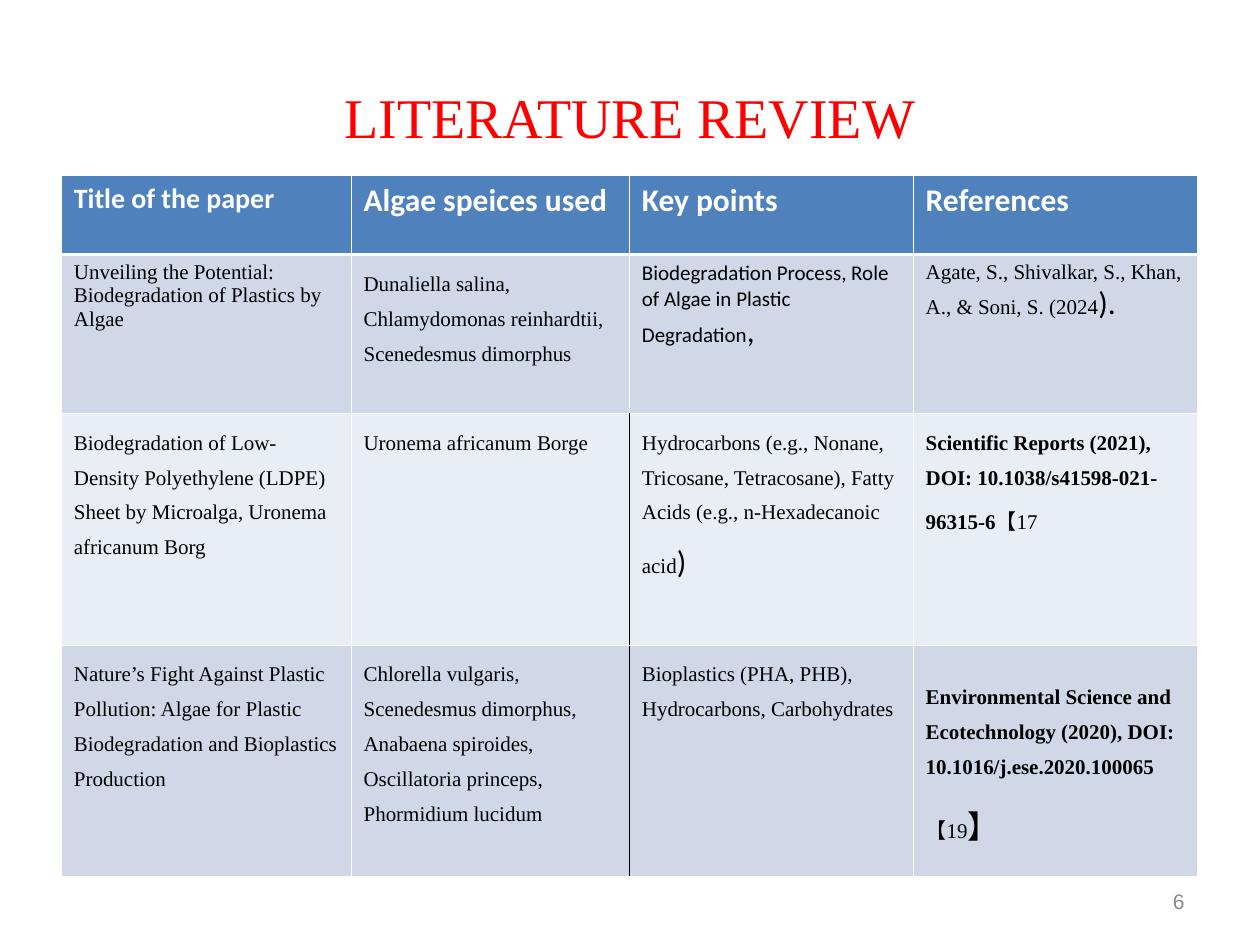
from lxml import etree
from pptx import Presentation
from pptx import util as u
from pptx.dml.color import RGBColor
from pptx.enum import text
from pptx.oxml import ns

SERIF, SANS = "Times New Roman", "Calibri"
WHITE, BLACK = "FFFFFF", "000000"
COLS = [5.84, 5.61, 5.72, 5.72]
ROWS = [1.6, 3.2, 4.67, 4.67]
FILLS = ["4F81BD", "D0D8E8", "E9EDF4", "D0D8E8"]

# Each cell is (line spacing, runs); each run is (text, size, font, bold).
HEADER = [("Title of the paper", 16), ("Algae speices used", 18),
          ("Key points", 18), ("References", 18)]
PAPERS = [
    [(None, [("Unveiling the Potential: Biodegradation of Plastics by Algae", 12, SERIF, False)]),
     (1.5, [("Dunaliella salina, Chlamydomonas reinhardtii, Scenedesmus dimorphus", 12, SERIF, False)]),
     (None, [("Biodegradation Process, Role of Algae in Plastic Degradation", 12, SANS, False),
             (",", 18, SANS, False)]),
     (None, [("Agate, S., Shivalkar, S., Khan, A., & Soni, S. (2024", 12, SERIF, False),
             (").", 18, SANS, False)])],
    [(1.5, [("Biodegradation of Low-Density Polyethylene (LDPE) Sheet by Microalga, "
             "Uronema africanum Borg", 12, SERIF, False)]),
     (1.5, [("Uronema africanum Borge", 12, SERIF, False)]),
     (1.5, [("Hydrocarbons (e.g., Nonane, Tricosane, Tetracosane), Fatty Acids "
             "(e.g., n-Hexadecanoic acid", 12, SERIF, False), (")", 18, SANS, False)]),
     (1.5, [("Scientific Reports (2021), DOI: 10.1038/s41598-021-96315-6", 12, SERIF, True),
            ("【17", 12, SERIF, False)])],
    [(1.5, [("Nature’s Fight Against Plastic Pollution: Algae for Plastic Biodegradation "
             "and Bioplastics Production", 12, SERIF, False)]),
     (1.5, [("Chlorella vulgaris, Scenedesmus dimorphus, Anabaena spiroides, "
             "Oscillatoria princeps, Phormidium lucidum", 12, SERIF, False)]),
     (1.5, [("Bioplastics (PHA, PHB), Hydrocarbons, Carbohydrates", 12, SERIF, False)]),
     (1.5, [("Environmental Science and Ecotechnology (2020), DOI: 10.1016/j.ese.2020.100065",
             12, SERIF, True),
            ("【19", 12, SERIF, False), ("】", 18, SANS, False)])],
]


def rgb(value):
    """Turn a hex string into a colour."""
    return RGBColor.from_string(value)


def add_run(p, words, size, font, color, bold=False):
    """Add one formatted run to a paragraph."""
    r = p.add_run()
    r.text = words
    r.font.size, r.font.name, r.font.bold = u.Pt(size), font, bold
    r.font.color.rgb = rgb(color)


def place(sp, left, top, width, height):
    """Set the position and size of a shape in centimetres."""
    sp.left, sp.top, sp.width, sp.height = map(u.Cm, (left, top, width, height))


def add_border(cell, side, color, width):
    """Draw one side of a cell border."""
    ln = etree.SubElement(cell._tc.get_or_add_tcPr(), ns.qn("a:ln" + side), w=str(u.Pt(width)))
    fill = etree.SubElement(ln, ns.qn("a:solidFill"))
    etree.SubElement(fill, ns.qn("a:srgbClr"), val=color)


def format_cell(cell, row, col):
    """Give a cell its borders, fill and margins."""
    dark = {"L": 2, "R": 1}
    thick = {"T": 1, "B": 0}
    for side in "LRTB":
        color = BLACK if row >= 2 and dark.get(side) == col else WHITE
        add_border(cell, side, color, 1.47 if thick.get(side) == row else 0.45)
    cell.fill.solid()
    cell.fill.fore_color.rgb = rgb(FILLS[row])
    cell.margin_left = cell.margin_right = u.Cm(0.25)
    cell.margin_top = cell.margin_bottom = u.Cm(0.13)


def add_review_table(s):
    """Build the table of reviewed papers."""
    table = s.shapes.add_table(len(ROWS), len(COLS), u.Cm(1.24), u.Cm(3.53),
                               u.Cm(sum(COLS)), u.Cm(sum(ROWS))).table
    for column, width in zip(table.columns, COLS):
        column.width = u.Cm(width)
    for row, height in zip(table.rows, ROWS):
        row.height = u.Cm(height)
    header = [(None, [(words, size, SANS, True)]) for words, size in HEADER]
    for i, row in enumerate([header] + PAPERS):
        for j, (spacing, runs) in enumerate(row):
            cell = table.cell(i, j)
            format_cell(cell, i, j)
            p = cell.text_frame.paragraphs[0]
            p.line_spacing = spacing
            for words, size, font, bold in runs:
                add_run(p, words, size, font, BLACK if i else WHITE, bold)
    table.cell(3, 3).vertical_anchor = text.MSO_ANCHOR.MIDDLE


def main():
    """Build the literature review slide."""
    prs = Presentation()
    prs.slide_width, prs.slide_height = u.Cm(25.4), u.Cm(19.05)
    s = prs.slides.add_slide(prs.slide_layouts[5])

    title = s.shapes.title
    place(title, 1.27, 0.76, 22.86, 3.18)
    title.text_frame.vertical_anchor = text.MSO_ANCHOR.MIDDLE
    p = title.text_frame.paragraphs[0]
    p.alignment = text.PP_ALIGN.CENTER
    add_run(p, "LITERATURE REVIEW", 32, SERIF, "FF0000")

    add_review_table(s)

    number = s.shapes.add_textbox(0, 0, 0, 0)
    place(number, 18.21, 17.65, 5.92, 1.02)
    tf = number.text_frame
    tf.word_wrap = True
    tf.vertical_anchor = text.MSO_ANCHOR.MIDDLE
    p = tf.paragraphs[0]
    p.alignment = text.PP_ALIGN.RIGHT
    add_run(p, "6", 12, "Arial", "898989")

    prs.save("out.pptx")


if __name__ == "__main__":
    main()
